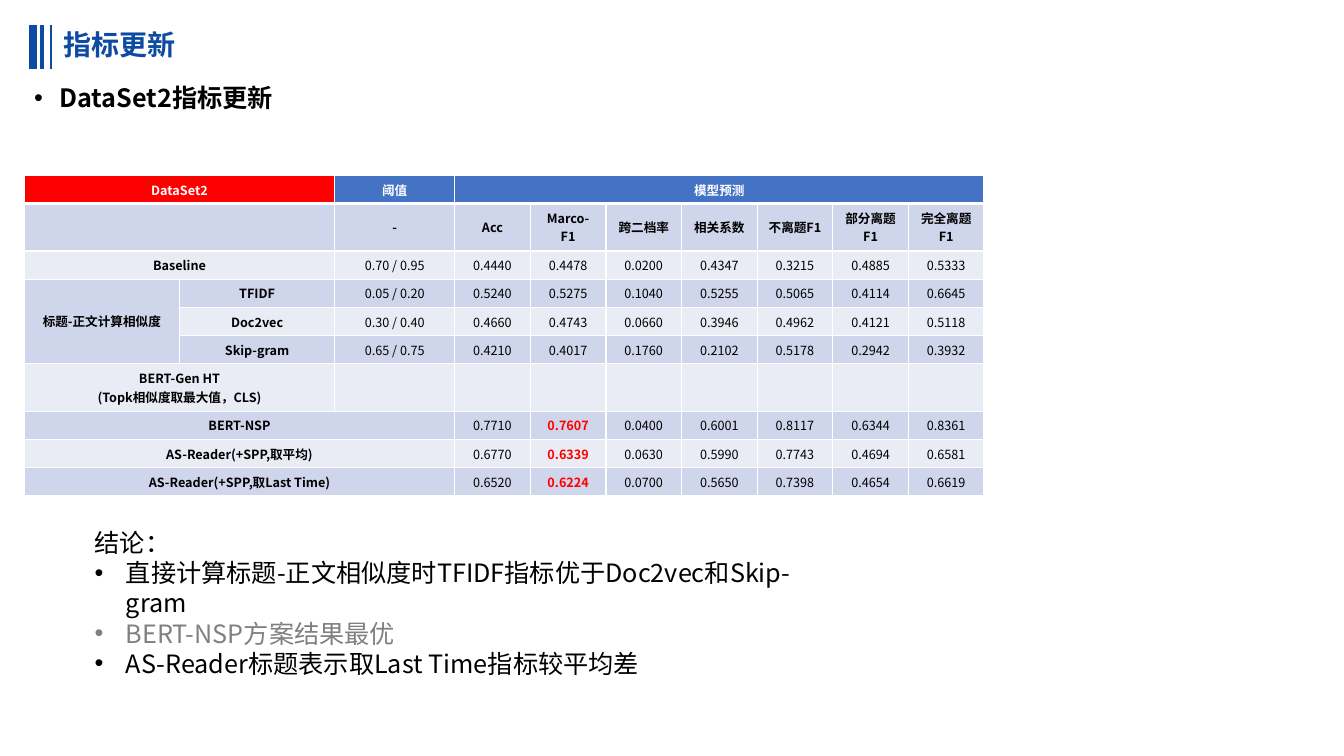
"""Build the DataSet2 metrics update slide."""
from lxml import etree
from pptx import Presentation, util as u
from pptx.dml.color import RGBColor
from pptx.enum import shapes, text
from pptx.oxml.ns import qn

THEME = dict(font="Noto Sans CJK SC", navy="0C4BA1", blue="4472C4", red="FF0000",
             dark_band="CFD5EA", light_band="E9EBF5", white="FFFFFF",
             black="000000", grey="808080", title=20, body=18, cell=9)

TITLE = "指标更新"
SUBTITLE = "DataSet2指标更新"
BARS = [(0.33, 6), (0.42, 3), (0.51, 1.5)]
ROWS = [
    ["DataSet2", "", "阈值", "模型预测", "", "", "", "", "", ""],
    ["", "", "-", "Acc", "Marco-F1", "跨二档率", "相关系数", "不离题F1", "部分离题F1", "完全离题F1"],
    ["Baseline", "", "0.70 / 0.95", "0.4440", "0.4478", "0.0200", "0.4347", "0.3215", "0.4885", "0.5333"],
    ["标题-正文计算相似度", "TFIDF", "0.05 / 0.20", "0.5240", "0.5275", "0.1040", "0.5255", "0.5065", "0.4114", "0.6645"],
    ["", "Doc2vec", "0.30 / 0.40", "0.4660", "0.4743", "0.0660", "0.3946", "0.4962", "0.4121", "0.5118"],
    ["", "Skip-gram", "0.65 / 0.75", "0.4210", "0.4017", "0.1760", "0.2102", "0.5178", "0.2942", "0.3932"],
    ["BERT-Gen HT\n(Topk相似度取最大值，CLS)", "", "", "", "", "", "", "", "", ""],
    ["BERT-NSP", "", "", "0.7710", "0.7607", "0.0400", "0.6001", "0.8117", "0.6344", "0.8361"],
    ["AS-Reader(+SPP,取平均)", "", "", "0.6770", "0.6339", "0.0630", "0.5990", "0.7743", "0.4694", "0.6581"],
    ["AS-Reader(+SPP,取Last Time)", "", "", "0.6520", "0.6224", "0.0700", "0.5650", "0.7398", "0.4654", "0.6619"],
]
MERGES = [((0, 0), (0, 1)), ((0, 3), (0, 9)), ((1, 0), (1, 1)), ((2, 0), (2, 1)),
          ((3, 0), (5, 0)), ((6, 0), (6, 1))] + [((i, 0), (i, 2)) for i in (7, 8, 9)]
COL_WIDTHS = [1.54, 1.54, 1.19] + [0.75] * 7
ROW_HEIGHTS = [0.28, 0.47] + [0.28] * 4 + [0.47] + [0.28] * 3
CONCLUSIONS = [
    ("结论：", "black", False),
    ("直接计算标题-正文相似度时TFIDF指标优于Doc2vec和Skip-gram", "black", True),
    ("BERT-NSP方案结果最优", "grey", True),
    ("AS-Reader标题表示取Last Time指标较平均差", "black", True),
]


def rgb(name):
    return RGBColor.from_string(THEME[name])


def add_run(p, words, size, color, bold=False):
    r = p.add_run()
    r.text = words
    f = r.font
    f.name, f.size, f.bold = THEME["font"], u.Pt(THEME[size]), bold
    f.color.rgb = rgb(color)
    etree.SubElement(r._r.get_or_add_rPr(), qn("a:ea"), typeface=THEME["font"])


def add_bullet(p, indent):
    pPr = p._p.get_or_add_pPr()
    pPr.set("marL", str(u.Inches(indent)))
    pPr.set("indent", str(-u.Inches(indent)))
    etree.SubElement(pPr, qn("a:buFont"), typeface="Arial")
    etree.SubElement(pPr, qn("a:buChar"), char="•")


def add_textbox(s, left, top, width, height, anchor=text.MSO_ANCHOR.TOP):
    tf = s.shapes.add_textbox(*map(u.Inches, (left, top, width, height))).text_frame
    tf.word_wrap, tf.vertical_anchor = True, anchor
    return tf


def add_heading(s):
    for x, weight in BARS:
        bar = s.shapes.add_connector(shapes.MSO_CONNECTOR.STRAIGHT, u.Inches(x), u.Inches(0.25),
                                     u.Inches(x), u.Inches(0.68))
        bar.line.color.rgb, bar.line.width = rgb("navy"), u.Pt(weight)
        etree.SubElement(bar._element.spPr, qn("a:effectLst"))
    p = add_textbox(s, 0.53, 0.21, 6.93, 0.5, text.MSO_ANCHOR.MIDDLE).paragraphs[0]
    p.line_spacing = 0.9
    add_run(p, TITLE, "title", "navy", True)
    p = add_textbox(s, 0.24, 0.8, 12.85, 0.5).paragraphs[0]
    p.line_spacing = 0.9
    add_bullet(p, 0.25)
    add_run(p, SUBTITLE, "body", "black", True)


def set_borders(cell, i):
    tcPr = cell._tc.get_or_add_tcPr()
    heavy = {0: "lnB", 1: "lnT"}.get(i)
    for side in ("lnL", "lnR", "lnT", "lnB"):
        ln = etree.SubElement(tcPr, qn(f"a:{side}"), w=str(u.Pt(3 if side == heavy else 1)))
        fill = etree.SubElement(ln, qn("a:solidFill"))
        etree.SubElement(fill, qn("a:srgbClr"), val=THEME["white"])


def fill_cell(cell, i, j, words):
    set_borders(cell, i)
    cell.vertical_anchor = text.MSO_ANCHOR.MIDDLE
    cell.fill.solid()
    band = "dark_band" if i % 2 else "light_band"
    cell.fill.fore_color.rgb = rgb(band if i else "red" if j < 2 else "blue")
    best = i >= 7 and j == 4
    color = "white" if i == 0 else "red" if best else "black"
    tf = cell.text_frame
    for k, line in enumerate(words.split("\n")):
        p = tf.add_paragraph() if k else tf.paragraphs[0]
        p.alignment = text.PP_ALIGN.CENTER
        if line:
            add_run(p, line, "cell", color, i < 2 or j < 2 or best)
        else:
            etree.SubElement(p._p, qn("a:endParaRPr"), sz=str(THEME["cell"] * 100))


def add_metrics(s):
    frame = s.shapes.add_table(len(ROWS), len(COL_WIDTHS), u.Inches(0.24), u.Inches(1.74),
                               u.Inches(sum(COL_WIDTHS)), u.Inches(sum(ROW_HEIGHTS)))
    table = frame.table
    table.horz_banding = False
    for column, width in zip(table.columns, COL_WIDTHS):
        column.width = u.Inches(width)
    for row, height in zip(table.rows, ROW_HEIGHTS):
        row.height = u.Inches(height)
    for i, row in enumerate(ROWS):
        for j, words in enumerate(row):
            fill_cell(table.cell(i, j), i, j, words)
    for first, last in MERGES:
        table.cell(*first).merge(table.cell(*last))


def add_conclusions(s):
    tf = add_textbox(s, 0.84, 5.18, 7.62, 1.31)
    for k, (words, color, bulleted) in enumerate(CONCLUSIONS):
        p = tf.add_paragraph() if k else tf.paragraphs[0]
        if bulleted:
            add_bullet(p, 0.31)
        add_run(p, words, "body", color)


def main():
    prs = Presentation()
    prs.slide_width, prs.slide_height = u.Inches(13.33), u.Inches(7.5)
    s = prs.slides.add_slide(prs.slide_layouts[6])
    add_heading(s)
    add_metrics(s)
    add_conclusions(s)
    prs.save("out.pptx")


if __name__ == "__main__":
    main()
